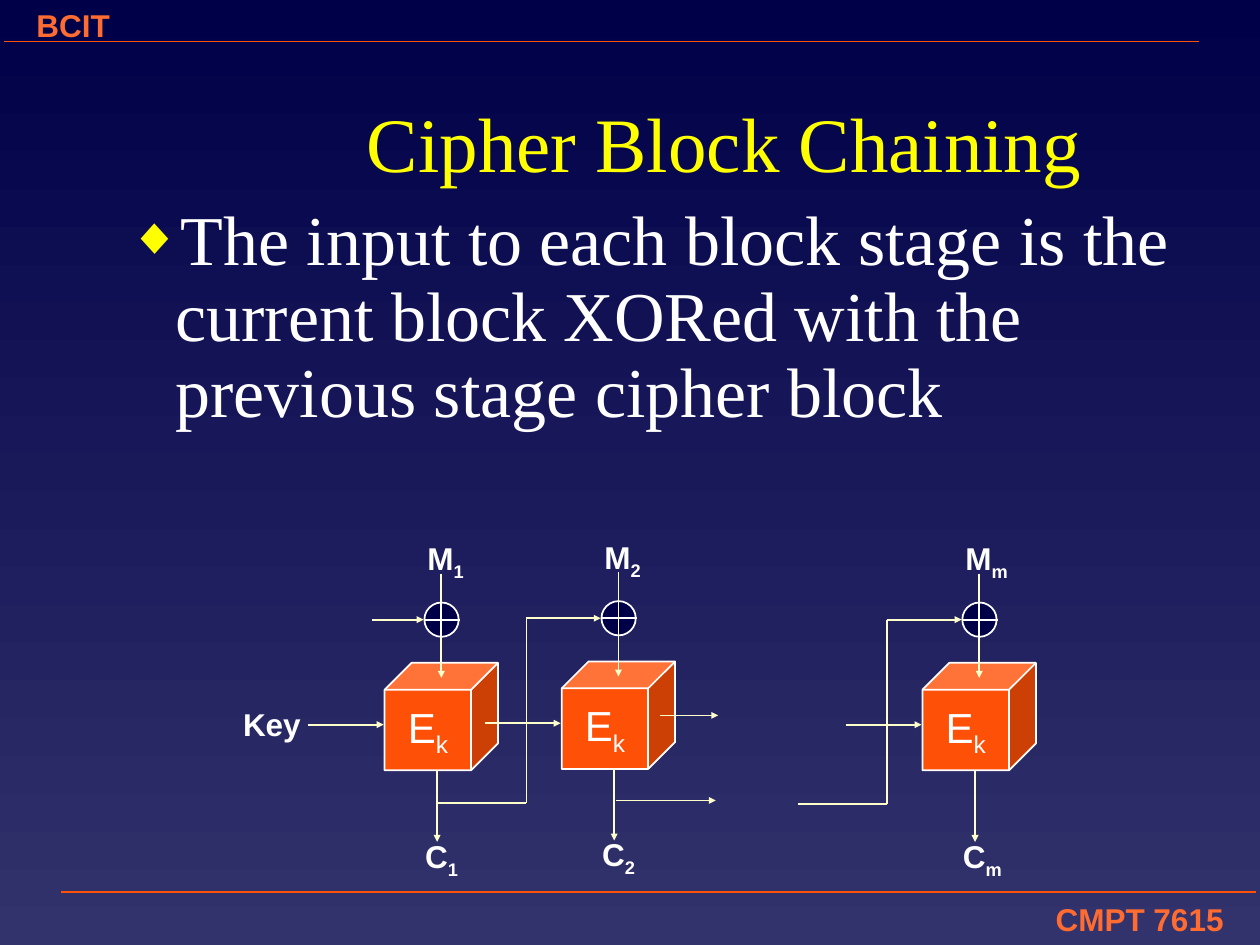
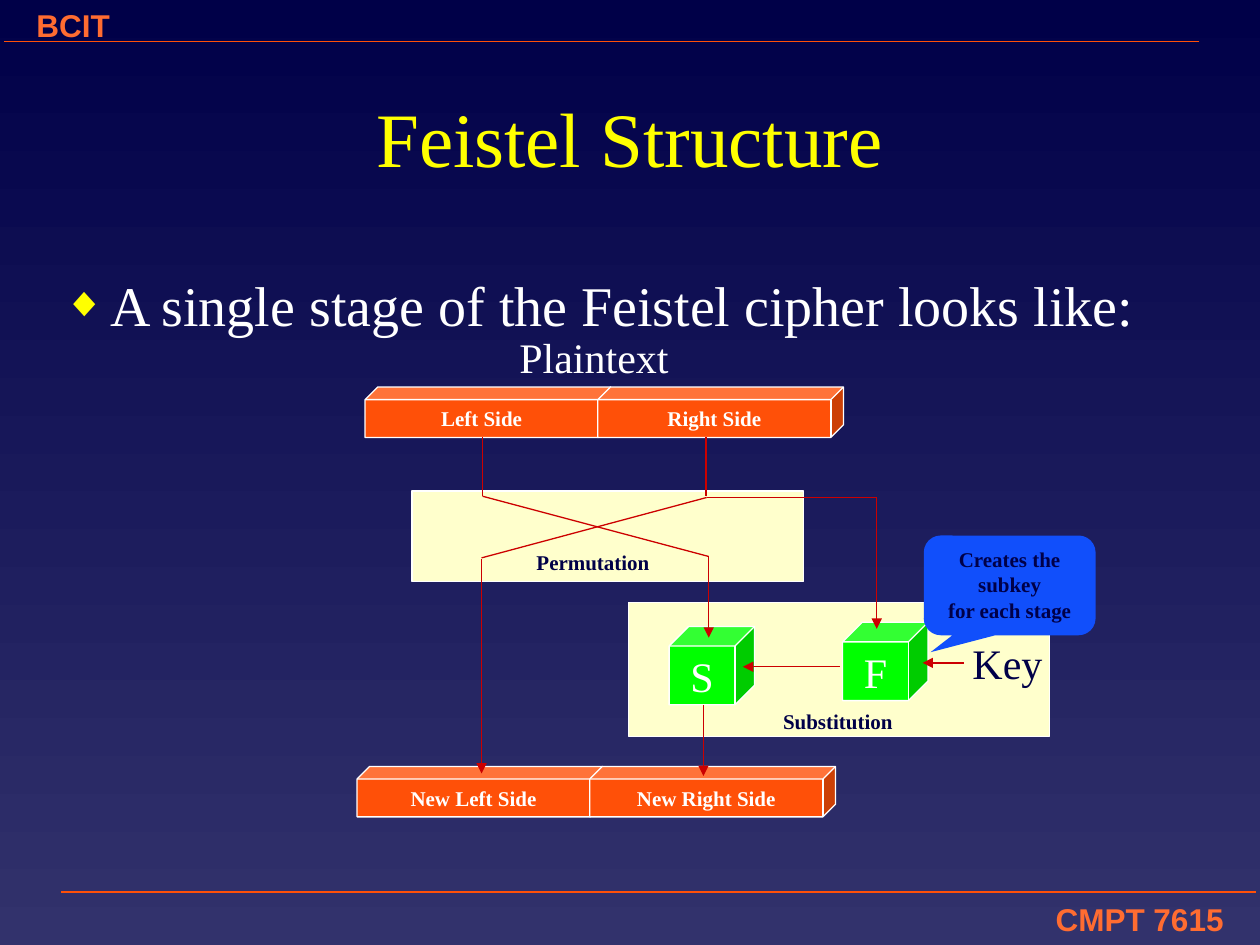
from itertools import pairwise

from lxml import etree
from pptx import Presentation
from pptx.dml.color import RGBColor
from pptx.enum.shapes import MSO_CONNECTOR, MSO_SHAPE
from pptx.enum.text import MSO_ANCHOR, MSO_AUTO_SIZE, PP_ALIGN
from pptx.oxml.ns import qn
from pptx.util import Pt

STRAIGHT = MSO_CONNECTOR.STRAIGHT
CUBE = MSO_SHAPE.CUBE
ELLIPSE = MSO_SHAPE.OVAL
RECTANGLE = MSO_SHAPE.RECTANGLE
CALLOUT = MSO_SHAPE.ROUNDED_RECTANGULAR_CALLOUT
LEFT, CENTER, RIGHT = PP_ALIGN.LEFT, PP_ALIGN.CENTER, PP_ALIGN.RIGHT
TOP, MIDDLE = MSO_ANCHOR.TOP, MSO_ANCHOR.MIDDLE

SANS = "Arial"
SERIF = "Times New Roman"
NAVY = "000048"
INDIGO = "32326C"
WHITE = "FFFFFF"
YELLOW = "FFFF00"
CREAM = "FFFFCC"
ORANGE = "FF5008"
LIGHT_ORANGE = "FF6C31"
GREEN = "00FF00"
RED = "CC0000"
BLUE = "114FFB"


def rgb(color):
    return RGBColor.from_string(color)


def write_text(shape, text, *, size, font=SERIF, color=WHITE, bold=False,
               align=LEFT, anchor=TOP, wrap=True, subscript=""):
    frame = shape.text_frame
    frame.word_wrap = wrap
    frame.auto_size = MSO_AUTO_SIZE.NONE
    frame.vertical_anchor = anchor
    paragraph = frame.paragraphs[0]
    paragraph.text = text
    paragraph.alignment = align
    if subscript:
        run = paragraph.add_run()
        run.text = subscript
        run._r.get_or_add_rPr().set("baseline", "-25000")
    for run in paragraph.runs:
        run.font.name = font
        run.font.size = Pt(size)
        run.font.bold = bold
        run.font.color.rgb = rgb(color)
    return paragraph


def place(shape, box):
    shape.left, shape.top, shape.width, shape.height = map(Pt, box)


def add_label(slide, box, text, **text_format):
    shape = slide.shapes.add_textbox(*map(Pt, box))
    return write_text(shape, text, **text_format)


def add_box(slide, kind, box, fill, line_width=None):
    shape = slide.shapes.add_shape(kind, *map(Pt, box))
    shape.shadow.inherit = False
    shape.fill.solid()
    shape.fill.fore_color.rgb = rgb(fill)
    if line_width:
        shape.line.color.rgb = rgb(WHITE)
        shape.line.width = Pt(line_width)
    else:
        shape.line.fill.background()
    return shape


def add_cube(slide, box, text, fill, line_width, **text_format):
    cube = add_box(slide, CUBE, box, fill, line_width)
    write_text(cube, text, align=CENTER, anchor=MIDDLE, wrap=False, **text_format)


def add_line(slide, start, end, color, width=1, arrow=None):
    connector = slide.shapes.add_connector(STRAIGHT, *map(Pt, (*start, *end)))
    connector.line.color.rgb = rgb(color)
    connector.line.width = Pt(width)
    properties = connector._element.spPr
    if arrow:
        etree.SubElement(properties.get_or_add_ln(), qn("a:tailEnd"),
                         type="triangle", w=arrow, len=arrow)
    etree.SubElement(properties, qn("a:effectLst"))


def add_bullet(paragraph):
    properties = paragraph._p.get_or_add_pPr()
    properties.set("marL", str(Pt(27)))
    properties.set("indent", str(Pt(-27)))
    color = etree.SubElement(properties, qn("a:buClr"))
    etree.SubElement(color, qn("a:srgbClr"), val=YELLOW)
    etree.SubElement(properties, qn("a:buSzPct"), val="75000")
    etree.SubElement(properties, qn("a:buFont"), typeface=SERIF)
    etree.SubElement(properties, qn("a:buChar"), char="◆")


def set_background(master):
    fill = master.background.fill
    fill.gradient()
    fill.gradient_angle = 270
    for stop, position, color in zip(fill.gradient_stops, (0, 1), (NAVY, INDIGO)):
        stop.position = position
        stop.color.rgb = rgb(color)


def add_content_slide(presentation, title, title_box, bullet, bullet_box,
                      bullet_size, line_spacing):
    slide = presentation.slides.add_slide(presentation.slide_layouts[1])
    band_format = {"size": 18, "font": SANS, "color": LIGHT_ORANGE, "bold": True}
    add_label(slide, (381.6, 510.5, 324.7, 28.8), "CMPT 7615", align=RIGHT, **band_format)
    add_line(slide, (717.8, 509.8), (34.6, 509.8), ORANGE)
    add_label(slide, (13.7, 0, 324.7, 28.8), "BCIT", **band_format)
    add_line(slide, (685.4, 23.8), (2.2, 23.8), ORANGE)

    place(slide.shapes.title, title_box)
    write_text(slide.shapes.title, title, size=44, color=YELLOW,
               align=CENTER, anchor=MIDDLE)
    body = slide.placeholders[1]
    place(body, bullet_box)
    paragraph = write_text(body, bullet, size=bullet_size)
    add_bullet(paragraph)
    paragraph.line_spacing = line_spacing
    paragraph.space_before = Pt(0)
    return slide


def add_cipher_stage(slide, left, top, index, chained=True):
    def at(x, y):
        return left + x, top + y

    label_format = {"size": 18, "font": SANS, "bold": True, "wrap": False,
                    "subscript": index}
    add_cube(slide, (*at(0, 0), 64.8, 61.4), "E", ORANGE, 1,
             size=24, font=SANS, subscript="k")
    add_line(slide, at(32.4, -51), at(32.4, 8.6), CREAM, arrow="sm")
    add_label(slide, (*at(17.3, -74.2), 35.3, 31.7), "M", **label_format)
    add_line(slide, at(30, 61.4), at(30, 102.3), CREAM, arrow="sm")
    add_label(slide, (*at(16, 95.8), 33.1, 31.7), "C", **label_format)
    add_line(slide, at(-44, 35.3), at(-0.6, 35.3), CREAM, arrow="sm")

    add_box(slide, ELLIPSE, (*at(22.7, -34.5), 19.6, 19.6), NAVY, 1)
    add_line(slide, at(32.4, -34), at(32.4, -15), WHITE)
    add_line(slide, at(22.7, -24.7), at(43, -24.7), WHITE)
    add_line(slide, at(-7.2, -24.7), at(22.3, -24.7), CREAM, arrow="sm")

    if chained:
        feedback = [(-71, 80.8), (-20.2, 80.8), (-20.2, -24.7), (-1.4, -24.7)]
        for start, end in pairwise(feedback):
            add_line(slide, at(*start), at(*end), CREAM)


def build_chaining_slide(presentation):
    slide = add_content_slide(
        presentation, "Cipher Block Chaining", (108, 36, 612, 90),
        "The input to each block stage is the current block XORed with the "
        "previous stage cipher block",
        (66.2, 113.8, 630, 162), 40, 0.9)
    add_label(slide, (131.8, 399.6, 47.5, 28.8), "Key",
              size=18, font=SANS, bold=True, wrap=False)
    add_cipher_stage(slide, 219.8, 378.8, "1", chained=False)
    add_cipher_stage(slide, 321, 378, "2")
    add_line(slide, (377.3, 408.8), (410.4, 408.8), CREAM, arrow="sm")
    add_line(slide, (352.1, 457.4), (409, 457.4), CREAM, arrow="sm")
    add_cipher_stage(slide, 527.2, 378.8, "m")


def add_side_blocks(slide, left, top, names):
    for column, name in enumerate(names):
        add_cube(slide, (left + column * 133, top, 140.4, 28.8), name,
                 ORANGE, 0.75, size=12, bold=True)


def build_feistel_slide(presentation):
    slide = add_content_slide(
        presentation, "Feistel Structure", (87.8, 30.2, 544.3, 95.8),
        "A single stage of the Feistel cipher looks like:",
        (28.8, 151.2, 640.8, 58.3), 32, 1.0)
    add_box(slide, RECTANGLE, (359.2, 344.2, 240.7, 76.5), CREAM, 0.75)
    add_box(slide, RECTANGLE, (235.4, 280.6, 224, 51.6), CREAM, 0.75)

    add_side_blocks(slide, 208.6, 221.2, ("Left Side", "Right Side"))
    add_side_blocks(slide, 204, 438, ("New Left Side", "New Right Side"))
    add_cube(slide, (382.4, 358, 48.8, 44.8), "S", GREEN, 0.75, size=24)
    add_cube(slide, (481.5, 355.6, 48.8, 44.8), "F", GREEN, 0.75, size=24)

    plain_lines = [
        ((275.8, 249.8), (275.8, 283.6)),
        ((403.4, 249.8), (403.4, 283.6)),
        ((275.8, 283.6), (405, 318)),
        ((403.8, 284.3), (275.2, 318.8)),
        ((403.8, 284.3), (501, 284.3)),
    ]
    arrows = [
        ((405, 318), (405, 364.4)),
        ((480, 381), (424.5, 381)),
        ((402, 402.8), (402, 443.4)),
        ((275.2, 319.4), (275.2, 442)),
        ((550.6, 378.8), (527.2, 378.8)),
        ((501, 284.3), (501, 359.4)),
    ]
    for start, end in plain_lines:
        add_line(slide, start, end, RED, 0.75)
    for start, end in arrows:
        add_line(slide, start, end, RED, 0.75, arrow="med")

    add_label(slide, (289.7, 186, 99.4, 36), "Plaintext", size=24, wrap=False)
    add_label(slide, (548.6, 361, 54, 36), "Key", size=24, color=NAVY, wrap=False)
    caption_format = {"size": 12, "color": NAVY, "bold": True}
    add_label(slide, (299.5, 310.6, 79.2, 21.6), "Permutation",
              wrap=False, **caption_format)
    add_label(slide, (440.4, 401.4, 77, 21.6), "Substitution",
              wrap=False, **caption_format)

    callout = add_box(slide, CALLOUT, (527.9, 306, 98.2, 57), BLUE)
    for position, value in enumerate((-0.46, 0.67, 0.17)):
        callout.adjustments[position] = value
    write_text(callout, "Creates the subkey\vfor each stage",
               align=CENTER, **caption_format)


def main():
    presentation = Presentation()
    presentation.slide_width = Pt(720)
    presentation.slide_height = Pt(540)
    set_background(presentation.slide_master)
    build_chaining_slide(presentation)
    build_feistel_slide(presentation)
    presentation.save("out.pptx")


if __name__ == "__main__":
    main()
